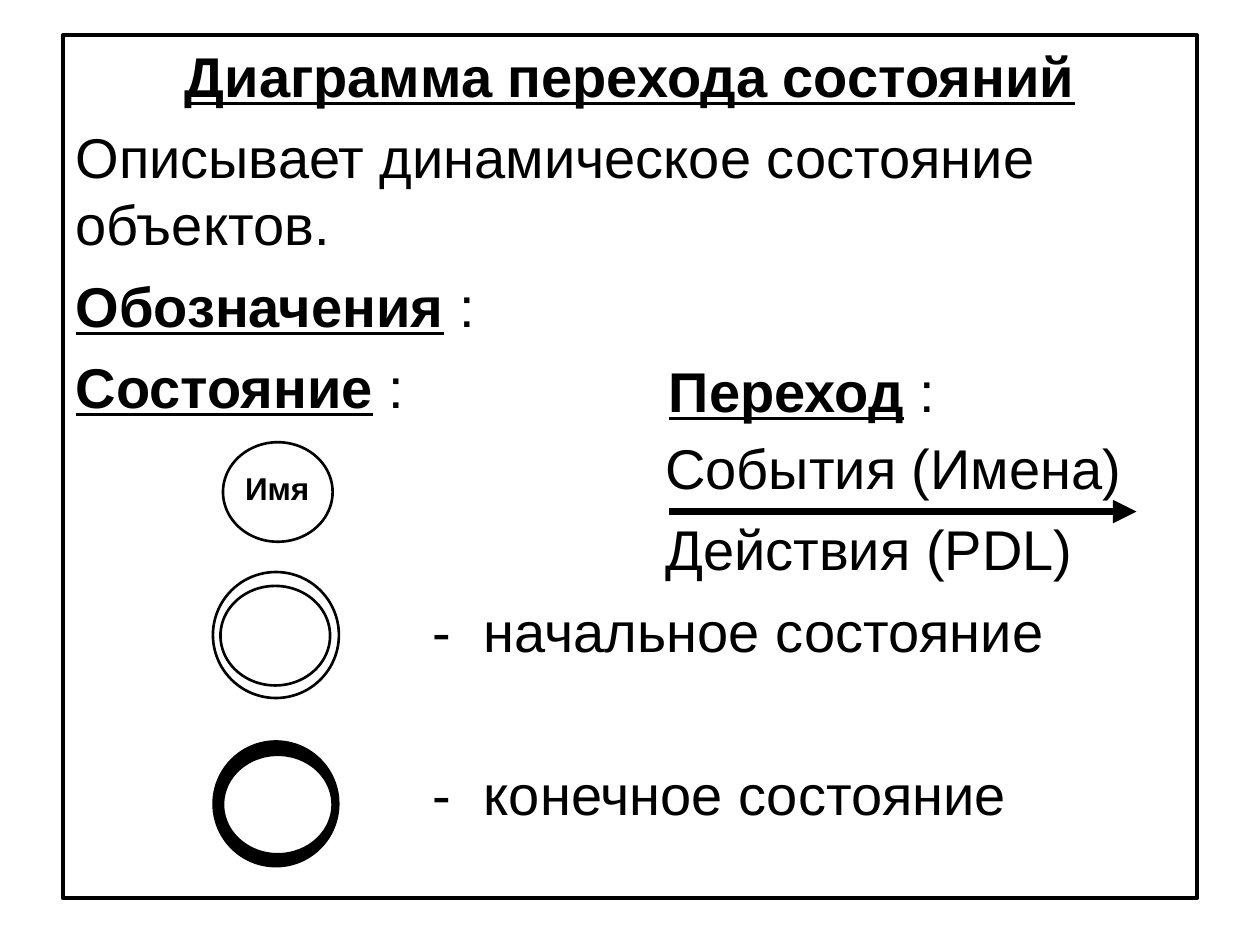
from dataclasses import dataclass

from pptx import Presentation
from pptx.dml.color import RGBColor
from pptx.enum.shapes import MSO_CONNECTOR as Connector, MSO_SHAPE as Shape
from pptx.enum.text import MSO_ANCHOR as Anchor, MSO_AUTO_SIZE as AutoSize, PP_ALIGN as Align
from pptx.oxml.ns import qn
from pptx.util import Inches, Pt
from lxml.etree import SubElement


@dataclass(frozen=True)
class Theme:
    """Colours, font and type sizes of the slide."""
    ink: RGBColor = RGBColor(0, 0, 0)
    paper: RGBColor = RGBColor(255, 255, 255)
    font: str = "Arial"
    body: int = 32
    label: int = 18
    gap: float = 8
    skipped_line: float = 54.8


class SlideBuilder:
    """Draws styled elements on one slide."""

    def __init__(self, slide, theme):
        self.slide = slide
        self.theme = theme

    def style_line(self, line, width):
        """Give a line the ink colour and a width in points."""
        line.color.rgb = self.theme.ink
        line.width = Pt(width)

    def style_font(self, font, size, bold=False):
        """Set the theme font on a paragraph."""
        font.name, font.size, font.bold = self.theme.font, Pt(size), bold
        font.color.rgb = self.theme.ink

    def add_runs(self, paragraph, text):
        """Add runs; parts between asterisks are bold and underlined."""
        for index, part in enumerate(text.split("*")):
            if part:
                run = paragraph.add_run()
                run.text = part
                if index % 2:
                    run.font.bold = run.font.underline = True

    def body(self, left, top, width, height):
        """Move and frame the body placeholder and return its text frame."""
        shape = self.slide.placeholders[1]
        shape.left, shape.top = Inches(left), Inches(top)
        shape.width, shape.height = Inches(width), Inches(height)
        self.style_line(shape.line, 2.25)
        frame = shape.text_frame
        frame.word_wrap = True
        frame.auto_size = AutoSize.NONE
        frame.vertical_anchor = Anchor.TOP
        return frame

    def paragraph(self, frame, text, margin=0, hanging=0, align=Align.LEFT, before=None):
        """Fill the next paragraph of the body."""
        paragraph = frame.paragraphs[-1]
        if paragraph.runs:
            paragraph = frame.add_paragraph()
        paragraph.alignment = align
        paragraph.space_before = Pt(before or self.theme.gap)
        self.style_font(paragraph.font, self.theme.body)
        properties = paragraph._p.get_or_add_pPr()
        properties.set("marL", str(Inches(margin)))
        properties.set("indent", str(Inches(-hanging)))
        none = properties.makeelement(qn("a:buNone"), {})
        properties.find(qn("a:defRPr")).addprevious(none)
        self.add_runs(paragraph, text)

    def circle(self, left, top, width, height, fill=None, line=1.5, parent=None):
        """Draw an ellipse, on the slide or in a group."""
        shape = (parent or self.slide).shapes.add_shape(
            Shape.OVAL, Inches(left), Inches(top), Inches(width), Inches(height))
        shape.shadow.inherit = False
        if fill is None:
            shape.fill.background()
        else:
            shape.fill.solid()
            shape.fill.fore_color.rgb = fill
        self.style_line(shape.line, line)

    def ring(self, top, inner_left, fill, line):
        """Group an outer circle with a white inner one."""
        group = self.slide.shapes.add_group_shape()
        self.circle(1.69, top, 1, 1, fill, line, group)
        self.circle(inner_left, top + 0.11, 0.87, 0.79, self.theme.paper, parent=group)

    def label(self, text, left, top, width, height, size, bold=False, align=Align.LEFT):
        """Add a one-line text box."""
        frame = self.slide.shapes.add_textbox(
            Inches(left), Inches(top), Inches(width), Inches(height)).text_frame
        frame.word_wrap = True
        paragraph = frame.paragraphs[0]
        paragraph.alignment = align
        self.style_font(paragraph.font, size, bold)
        self.add_runs(paragraph, text)

    def arrow(self, start, end, level):
        """Draw a thick horizontal arrow."""
        connector = self.slide.shapes.add_connector(
            Connector.STRAIGHT, Inches(start), Inches(level), Inches(end), Inches(level))
        self.style_line(connector.line, 4.5)
        SubElement(connector.line._get_or_add_ln(), qn("a:tailEnd"), type="triangle")
        SubElement(connector._element.spPr, qn("a:effectLst"))


def main():
    """Build the state transition slide."""
    presentation = Presentation()
    presentation.slide_width, presentation.slide_height = Inches(10), Inches(7.5)
    slide = presentation.slides.add_slide(presentation.slide_layouts[1])
    title = slide.shapes.title._element
    title.getparent().remove(title)
    theme = Theme()
    builder = SlideBuilder(slide, theme)

    transition = 4.68
    legend = {"margin": 3.24, "hanging": 0.41}
    frame = builder.body(0.5, 0.28, 9, 6.85)
    builder.paragraph(frame, "*Диаграмма перехода состояний*", align=Align.CENTER)
    builder.paragraph(frame, "Описывает динамическое состояние объектов.")
    builder.paragraph(frame, "*Обозначения* :")
    builder.paragraph(frame, "*Состояние* :")
    builder.paragraph(frame, "События (Имена)", transition)
    builder.paragraph(frame, "Действия (PDL)", transition)
    builder.paragraph(frame, "-\tначальное состояние", **legend)
    builder.paragraph(frame, "-\tконечное состояние", before=theme.skipped_line, **legend)
    builder.label("*Переход* :", 5.21, 2.78, 3, 0.61, theme.body)

    builder.circle(1.77, 3.51, 0.87, 0.79)
    builder.label("Имя", 1.69, 3.67, 1.02, 0.4, theme.label, True, Align.CENTER)
    builder.ring(5.88, 1.77, theme.ink, 0.75)
    builder.ring(4.54, 1.75, theme.paper, 1.5)
    builder.arrow(5.31, 9.02, 4.06)
    presentation.save("out.pptx")


if __name__ == "__main__":
    main()
